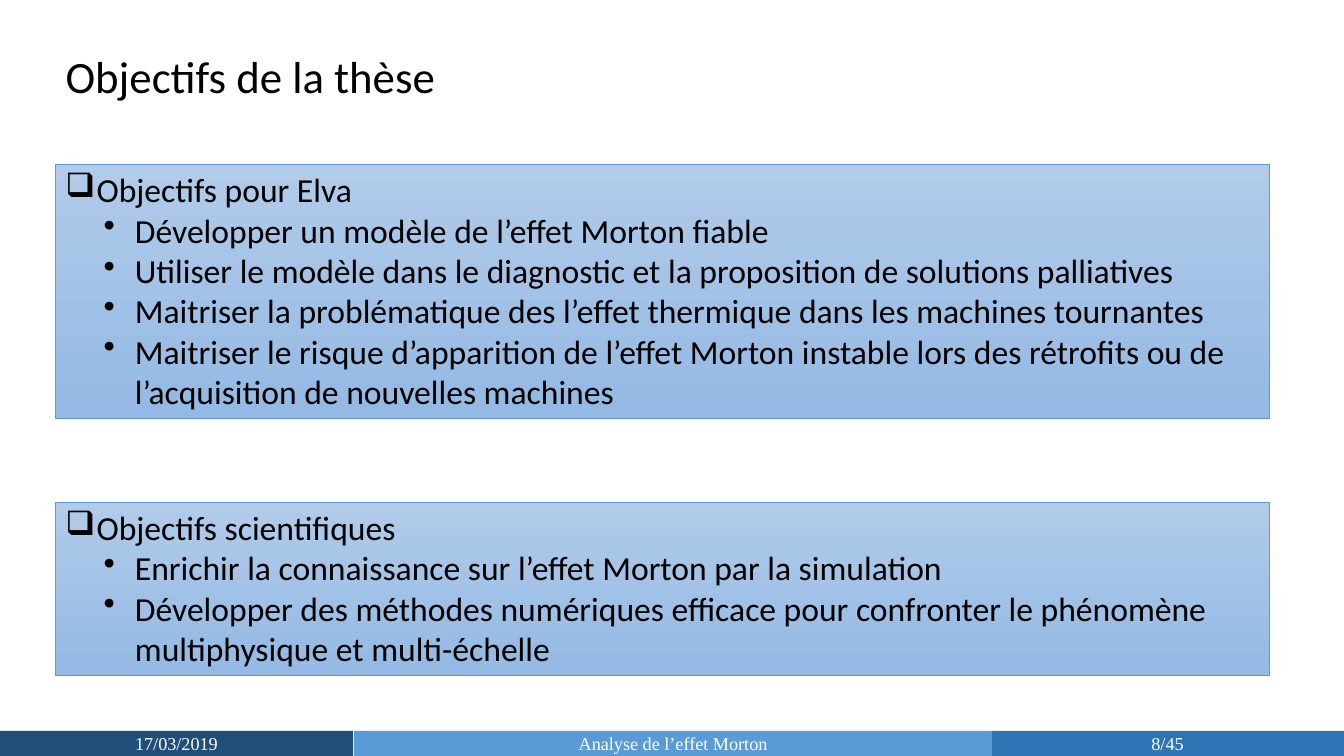
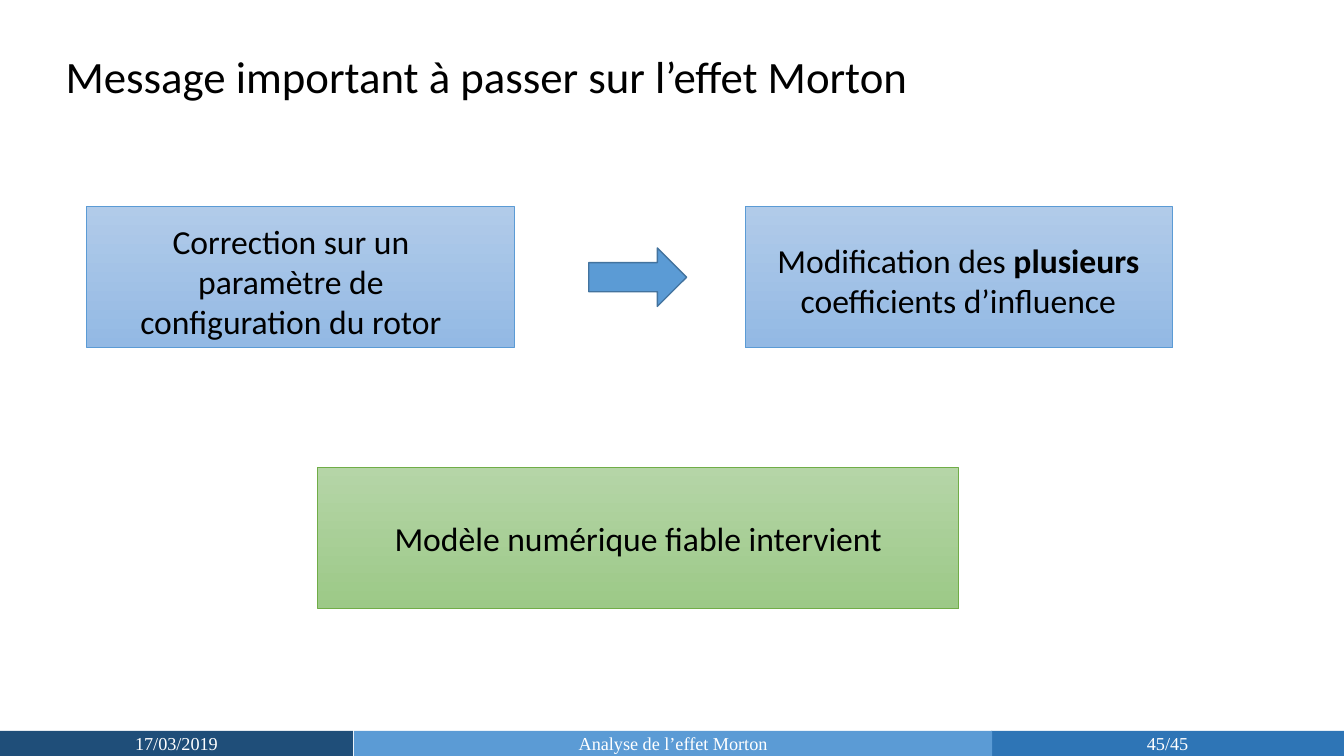
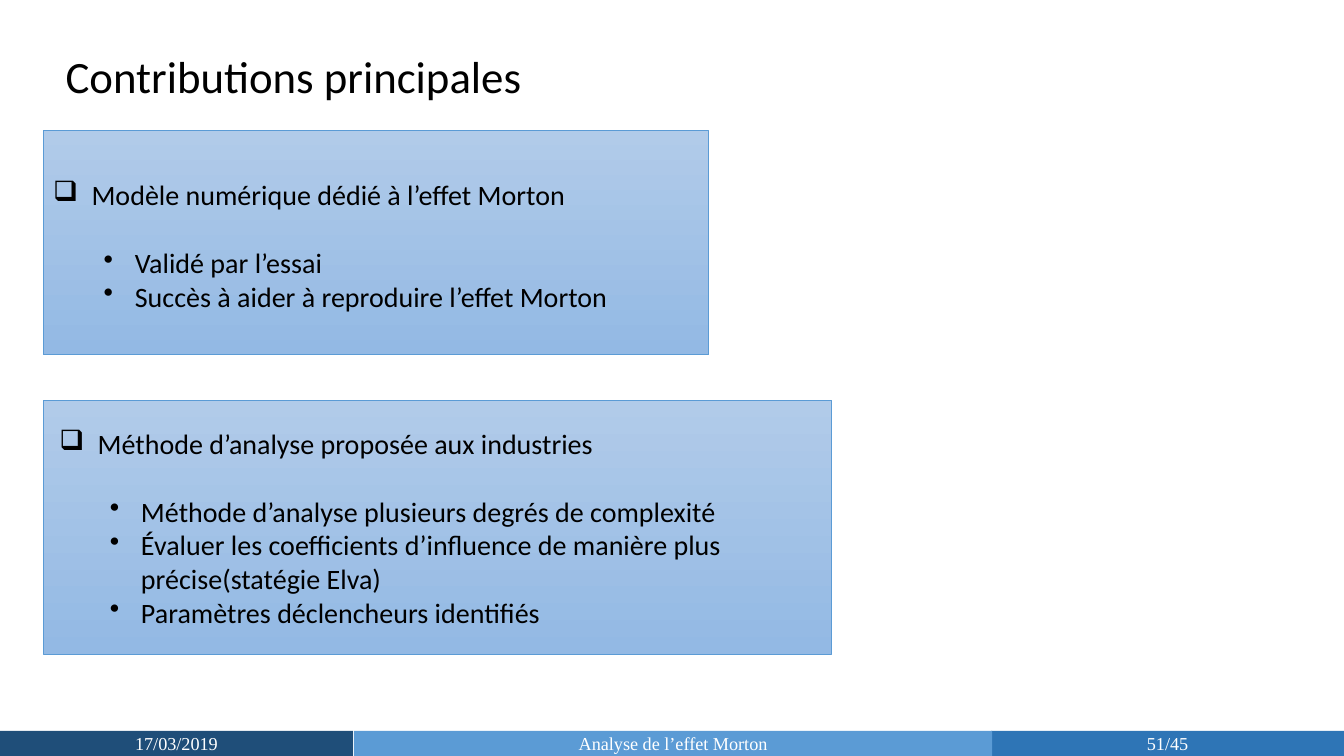
import pptx
import pptx.dml.color
import pptx.enum.shapes
import pptx.enum.text
import pptx.oxml.ns
import pptx.util
from lxml import etree
from pptx.util import Inches

SHAPES = pptx.enum.shapes.MSO_SHAPE
ANCHOR = pptx.enum.text.MSO_ANCHOR
ALIGN = pptx.enum.text.PP_ALIGN


def color(code):
    return pptx.dml.color.RGBColor.from_string(code)


def apply(target, values):
    for name, value in values.items():
        setattr(target, name, value)


class Deck:
    """Builds slides with a shared title, footer band and panel style."""

    BLUE = ("B1CBE9", "93B9E4", "5B9BD5")
    GREEN = ("B5D5A7", "9CC987", "70AD47")
    BAND = {"name": "Times New Roman", "size": pptx.util.Pt(13)}
    TITLE = {"name": "Calibri", "size": pptx.util.Pt(32)}
    LARGE = {"name": "Calibri", "size": pptx.util.Pt(24)}
    MEDIUM = {"name": "Calibri", "size": pptx.util.Pt(20)}
    CENTER = {"alignment": ALIGN.CENTER}

    def __init__(self):
        self.show = pptx.Presentation()
        apply(self.show, {"slide_width": Inches(13.33), "slide_height": Inches(7.5)})
        self.page = None

    def start(self, title, number):
        self.page = self.show.slides.add_slide(self.show.slide_layouts[5])
        box = self.page.shapes.title
        apply(box, dict(zip(("left", "top", "width", "height"),
                            map(Inches, (0.55, 0.43, 12.24, 0.64)))))
        self.frame(box, ANCHOR.TOP)
        self.typeset(box.text_frame.paragraphs[0], title, self.TITLE, alignment=ALIGN.LEFT)
        for left, width, fill, text in (
            (9.83, 3.5, "2E75B6", f"{number}/45"),
            (0, 3.5, "1F4E79", "17/03/2019"),
            (3.51, 6.33, "5B9BD5", "Analyse de l’effet Morton"),
        ):
            band = self.shape(SHAPES.RECTANGLE, (left, 7.25, width, 0.25), fill)
            self.frame(band, ANCHOR.MIDDLE)
            self.typeset(band.text_frame.paragraphs[0], text, self.BAND, "FFFFFF", **self.CENTER)

    def frame(self, box, anchor):
        apply(box.text_frame, {
            "word_wrap": True,
            "vertical_anchor": anchor,
            "auto_size": pptx.enum.text.MSO_AUTO_SIZE.NONE,
        })

    def typeset(self, para, text, font, ink="000000", **layout):
        apply(para, layout)
        for index, part in enumerate(text.split("**")):
            span = para.add_run()
            span.text = part
            apply(span.font, {**font, "bold": index % 2 == 1})
            span.font.color.rgb = color(ink)

    def shape(self, kind, place, fill, line=None, weight=0.5):
        box = self.page.shapes.add_shape(kind, *map(Inches, place))
        box.shadow.inherit = False
        if isinstance(fill, str):
            box.fill.solid()
            box.fill.fore_color.rgb = color(fill)
        else:
            box.fill.gradient()
            box.fill.gradient_angle = 270
            for stop, code in zip(box.fill.gradient_stops, fill):
                stop.color.rgb = color(code)
        if line:
            box.line.color.rgb = color(line)
            box.line.width = pptx.util.Pt(weight)
        else:
            box.line.fill.background()
        return box

    def panel(self, place, palette=BLUE):
        return self.shape(SHAPES.RECTANGLE, place, palette[:2], palette[2])

    def textbox(self, place):
        return self.page.shapes.add_textbox(*map(Inches, place))

    def label(self, box, text, anchor=ANCHOR.TOP):
        self.frame(box, anchor)
        self.typeset(box.text_frame.paragraphs[0], text, self.LARGE, **self.CENTER)

    def outline(self, box, heading, items, font, indents, anchor=ANCHOR.TOP, gap=0):
        self.frame(box, anchor)
        head_indent, item_indent = indents
        self.bullet(box.text_frame.paragraphs[0], "❑", heading, font, head_indent, head_indent)
        for index, item in enumerate(items):
            para = box.text_frame.add_paragraph()
            para.level = 1
            if gap and index == 0:
                para.space_before = pptx.util.Pt(gap)
            self.bullet(para, "•", item, font, item_indent, 0.31)

    def bullet(self, para, mark, text, font, margin, hang):
        para.alignment = ALIGN.LEFT
        properties = para._p.get_or_add_pPr()
        properties.set("marL", str(Inches(margin)))
        properties.set("indent", str(-Inches(hang)))
        etree.SubElement(properties, pptx.oxml.ns.qn("a:buChar")).set("char", mark)
        self.typeset(para, text, font)


def objectives(deck):
    deck.start("Objectifs de la thèse", 8)
    for top, height, heading, items in (
        (1.63, 2.52, "Objectifs pour Elva", (
            "Développer un modèle de l’effet Morton fiable",
            "Utiliser le modèle dans le diagnostic et la proposition de solutions palliatives",
            "Maitriser la problématique des l’effet thermique dans les machines tournantes",
            "Maitriser le risque d’apparition de l’effet Morton instable lors des rétrofits ou de "
            "l’acquisition de nouvelles machines",
        )),
        (4.98, 1.72, "Objectifs scientifiques", (
            "Enrichir la connaissance sur l’effet Morton par la simulation",
            "Développer des méthodes numériques efficace pour confronter le phénomène "
            "multiphysique et multi-échelle",
        )),
    ):
        panel = deck.panel((0.55, top, 12.04, height))
        deck.outline(panel, heading, items, deck.LARGE, (0.31, 0.69))


def message(deck):
    deck.start("Message important à passer sur l’effet Morton", 45)
    model = deck.panel((3.15, 4.64, 6.36, 1.4), deck.GREEN)
    deck.label(model, "Modèle numérique fiable intervient", ANCHOR.MIDDLE)
    for left, place, text in (
        (0.86, (0.99, 2.14, 3.79, 1.31), "Correction sur un paramètre de configuration du rotor"),
        (7.39, (7.56, 2.33, 3.89, 0.91), "Modification des **plusieurs** coefficients d’influence"),
    ):
        deck.panel((left, 2.05, 4.24, 1.4))
        deck.label(deck.textbox(place), text)
    deck.shape(SHAPES.RIGHT_ARROW, (5.84, 2.46, 0.97, 0.58), "5B9BD5", "43739E", 1)


def contributions(deck):
    deck.start("Contributions principales", 51)
    for panel, place, heading, items in (
        ((0.43, 1.29, 6.6, 2.23), (0.43, 1.53, 6.47, 1.81),
         "Modèle numérique dédié à l’effet Morton", (
             "Validé par l’essai",
             "Succès à aider à reproduire l’effet Morton",
         )),
        ((0.43, 3.97, 7.82, 2.52), (0.49, 4.2, 7.71, 2.07),
         "Méthode d’analyse proposée aux industries", (
             "Méthode d’analyse plusieurs degrés de complexité",
             "Évaluer les coefficients d’influence de manière plus précise(statégie Elva)",
             "Paramètres déclencheurs identifiés",
         )),
    ):
        deck.panel(panel)
        deck.outline(deck.textbox(place), heading, items, deck.MEDIUM, (0.38, 0.81),
                     ANCHOR.MIDDLE, gap=24.4)


def main():
    deck = Deck()
    objectives(deck)
    message(deck)
    contributions(deck)
    deck.show.save("out.pptx")


if __name__ == "__main__":
    main()
